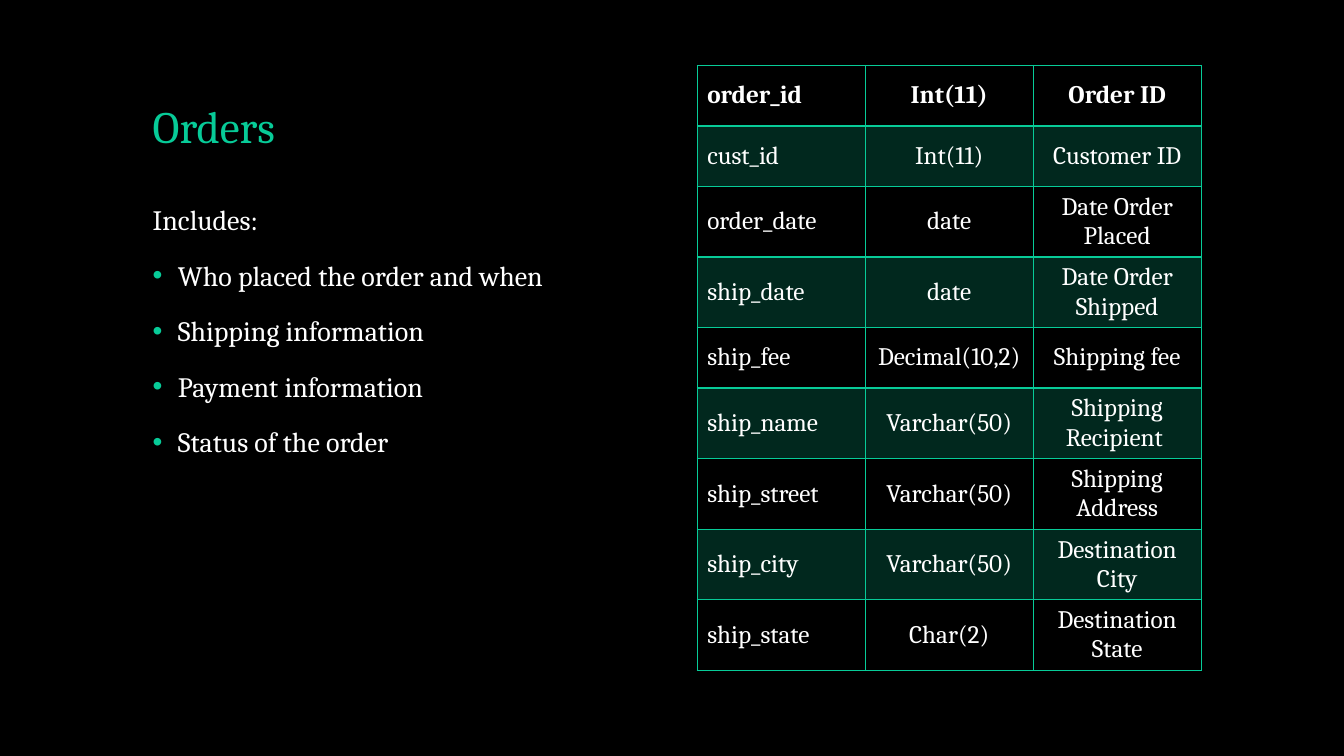
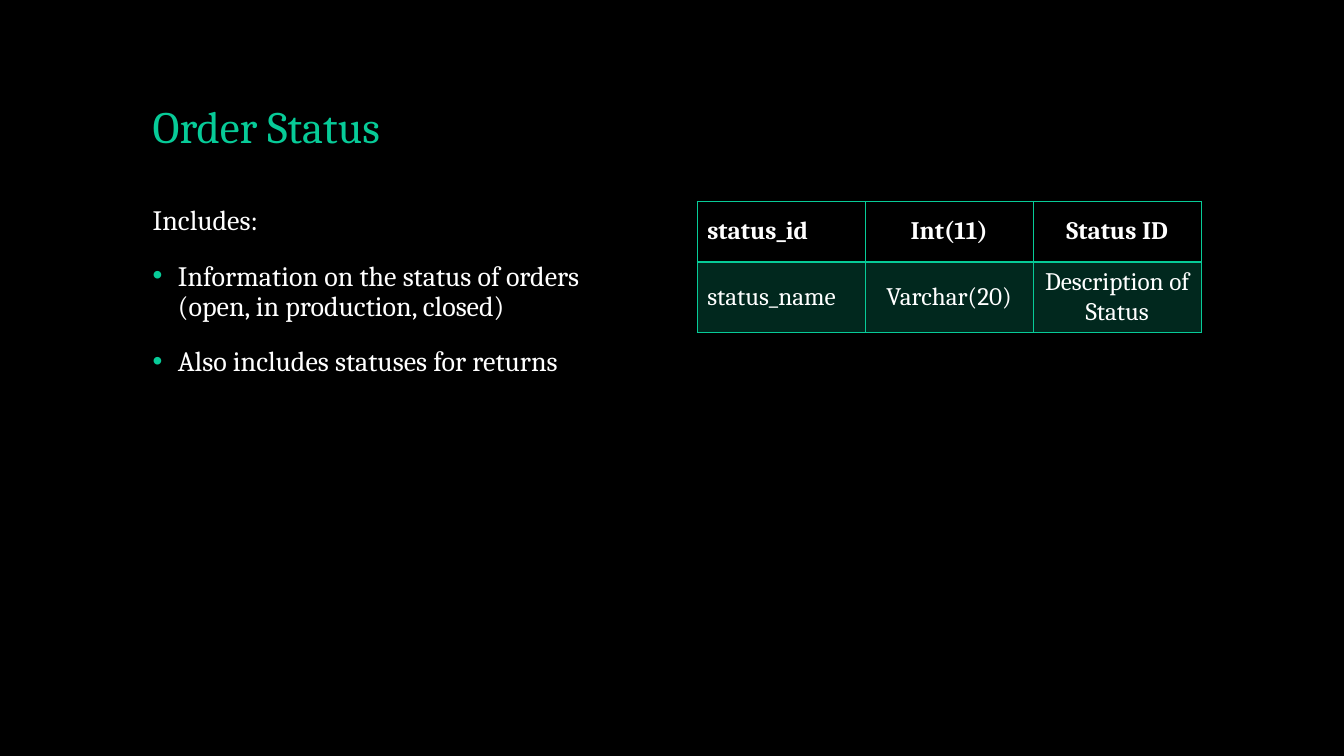
"""Build two slides that describe the tables of an order database."""
from lxml import etree
from pptx import Presentation
from pptx.dml.color import RGBColor
from pptx.enum.text import MSO_ANCHOR, PP_ALIGN
from pptx.oxml.ns import qn
from pptx.util import Inches, Pt

BLACK = RGBColor(0x00, 0x00, 0x00)
WHITE = RGBColor(0xFF, 0xFF, 0xFF)
GREEN = RGBColor(0x07, 0xCB, 0x98)
LEFT, CENTER = PP_ALIGN.LEFT, PP_ALIGN.CENTER
TOP, MIDDLE, BOTTOM = MSO_ANCHOR.TOP, MSO_ANCHOR.MIDDLE, MSO_ANCHOR.BOTTOM

FACE = "Cambria"
HEAD = {"name": FACE, "size": Pt(32)}
BODY = {"name": FACE, "size": Pt(20)}
CELL = {"name": FACE, "size": Pt(18)}
INDENT = Inches(0.25)

SLIDES = [
    {
        "title": "Orders",
        "points": [
            "Who placed the order and when",
            "Shipping information",
            "Payment information",
            "Status of the order",
        ],
        "top": 7.8,
        "rows": [
            ("order_id", "Int(11)", "Order ID"),
            ("cust_id", "Int(11)", "Customer ID"),
            ("order_date", "date", "Date Order Placed"),
            ("ship_date", "date", "Date Order Shipped"),
            ("ship_fee", "Decimal(10,2)", "Shipping fee"),
            ("ship_name", "Varchar(50)", "Shipping Recipient "),
            ("ship_street", "Varchar(50)", "Shipping Address"),
            ("ship_city", "Varchar(50)", "Destination City"),
            ("ship_state", "Char(2)", "Destination State"),
        ],
    },
    {
        "title": "Order Status",
        "points": [
            "Information on the status of orders (open, in production, closed)",
            "Also includes statuses for returns",
        ],
        "top": 24,
        "rows": [
            ("status_id", "Int(11)", "Status ID"),
            ("status_name", "Varchar(20)", "Description of Status"),
        ],
    },
]

deck = Presentation()
deck.slide_width = Inches(13.33)
deck.slide_height = Inches(7.5)
UNIT = deck.slide_width / 160
MARGIN, COLUMN, TABLE = 17, 60, 83
ROW = 7.2


def span(*units):
    """Turn grid units into lengths."""
    return [round(unit * UNIT) for unit in units]


def write(par, text, style, color):
    """Add one run of styled text to a paragraph."""
    run = par.add_run()
    run.text = text
    for key, value in style.items():
        setattr(run.font, key, value)
    run.font.color.rgb = color


for data in SLIDES:
    slide = deck.slides.add_slide(deck.slide_layouts[6])
    slide.background.fill.solid()
    slide.background.fill.fore_color.rgb = BLACK

    lines = ["Includes:"] + data["points"]
    blocks = [
        ((MARGIN, 4.8, 126, 14), BOTTOM, [data["title"]], HEAD, GREEN, 0),
        ((MARGIN, 24, COLUMN, 57), TOP, lines, BODY, WHITE, 18),
    ]
    for place, anchor, texts, style, color, gap in blocks:
        frame = slide.shapes.add_textbox(*span(*place)).text_frame
        frame.word_wrap = True
        frame.vertical_anchor = anchor
        for i, text in enumerate(texts):
            par = frame.add_paragraph() if i else frame.paragraphs[0]
            par.line_spacing = 0.9
            par.space_before = Pt(gap)
            write(par, text, style, color)
            if i:
                props = par._p.get_or_add_pPr()
                props.set("marL", str(INDENT))
                props.set("indent", str(-INDENT))
                tint = etree.SubElement(props, qn("a:buClr"))
                etree.SubElement(tint, qn("a:srgbClr"), val=str(GREEN))
                etree.SubElement(props, qn("a:buFont"), typeface="Arial")
                etree.SubElement(props, qn("a:buChar"), char="•")

    rows = data["rows"]
    place = span(TABLE, data["top"], COLUMN, ROW * len(rows))
    table = slide.shapes.add_table(len(rows), len(rows[0]), *place).table
    table.horz_banding = False
    for r, row in enumerate(rows):
        for c, text in enumerate(row):
            cell = table.cell(r, c)
            cell.vertical_anchor = MIDDLE
            par = cell.text_frame.paragraphs[0]
            par.alignment = CENTER if c else LEFT
            write(par, text, {**CELL, "bold": r == 0}, WHITE)

            props = cell._tc.get_or_add_tcPr()
            if r % 2:
                cell.fill.solid()
                cell.fill.fore_color.rgb = GREEN
                tint = props.find(".//" + qn("a:srgbClr"))
                etree.SubElement(tint, qn("a:alpha"), val="20000")
            else:
                cell.fill.background()
            for i, side in enumerate(("lnL", "lnR", "lnT", "lnB")):
                width = Pt(2 if r == 0 and side == "lnB" else 1)
                edge = etree.Element(qn("a:" + side), w=str(width))
                props.insert(i, edge)
                fill = etree.SubElement(edge, qn("a:solidFill"))
                etree.SubElement(fill, qn("a:srgbClr"), val=str(GREEN))

deck.save("out.pptx")
